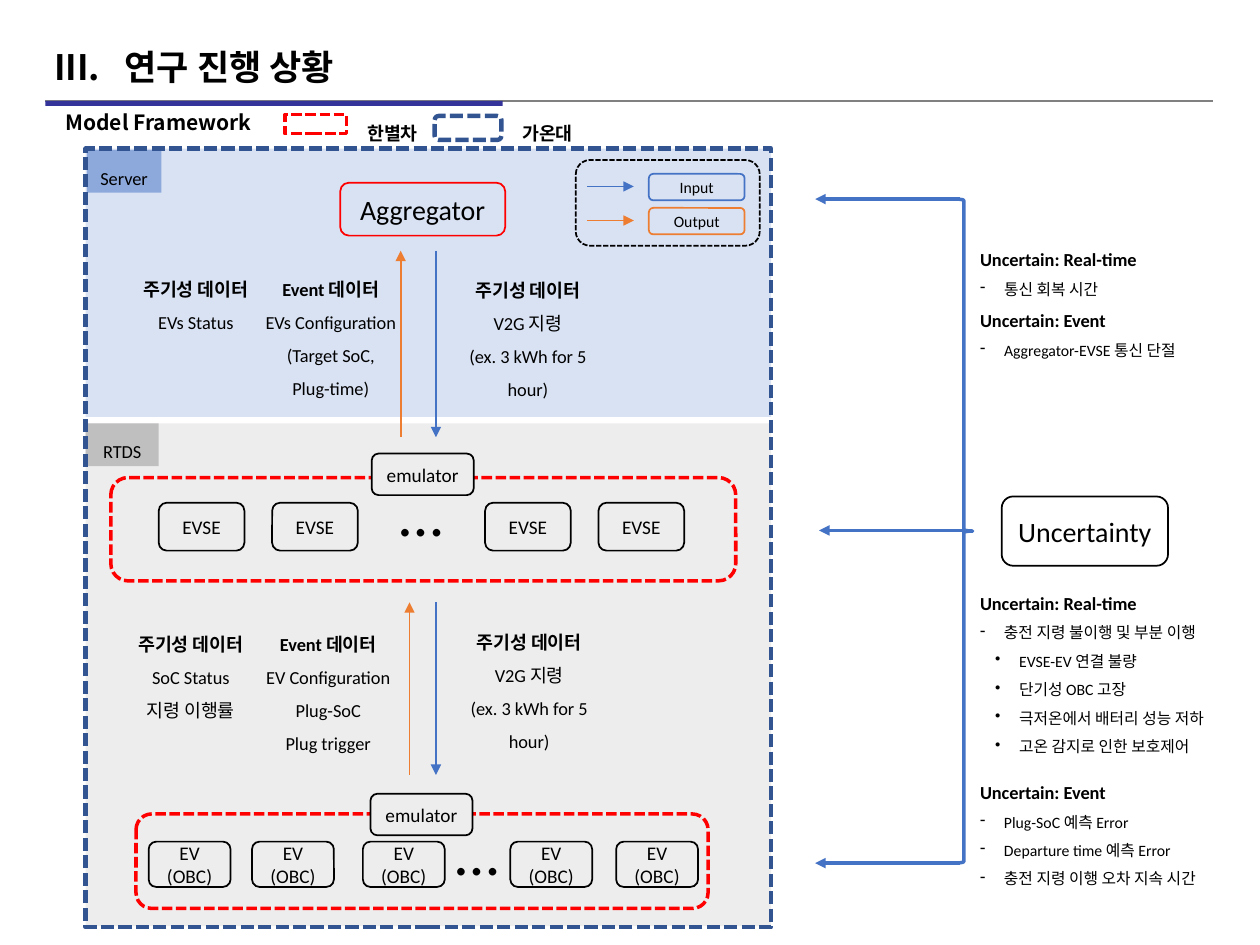
from lxml import etree
from pptx import Presentation
from pptx.dml.color import RGBColor
from pptx.enum.dml import MSO_LINE
from pptx.enum.shapes import MSO_CONNECTOR, MSO_SHAPE
from pptx.enum.text import MSO_ANCHOR, PP_ALIGN
from pptx.oxml.ns import qn
from pptx.util import Inches, Pt

RECTANGLE, ROUNDED, BRACE = MSO_SHAPE.RECTANGLE, MSO_SHAPE.ROUNDED_RECTANGLE, MSO_SHAPE.RIGHT_BRACE
STRAIGHT, DASHED = MSO_CONNECTOR.STRAIGHT, MSO_LINE.SQUARE_DOT
LEFT, CENTER = PP_ALIGN.LEFT, PP_ALIGN.CENTER
TOP, MIDDLE = MSO_ANCHOR.TOP, MSO_ANCHOR.MIDDLE

BLACK, BLUE, ORANGE, RED, NAVY = "000000", "4472C4", "ED7D31", "FF0000", "325491"
LATIN, KOREAN = "Calibri", "Noto Sans CJK KR"
COLUMNS, ROWS = 100, 75

HEAD = {"size": 10.5, "bold": True, "spacing": 1.5}
GROUP = {**HEAD, "before": 8}
BODY = {"size": 10.5, "spacing": 1.5}
DASH = {"size": 9, "spacing": 1.5, "bullet": "-", "indent": 1.9, "hanging": 1.9}
DOT = {**DASH, "bullet": "•", "indent": 3.1}
NODE = {"size": 11}
LARGE = {"size": 16}
KEY = {"size": 9}
DOTS = {"size": 36}
SUBTITLE = {"size": 12, "bold": True, "font": KOREAN}
TITLE = {"size": 20, "bold": True, "font": KOREAN, "spacing": 0.9,
         "number": 3, "indent": 5.6, "hanging": 5.6}


def color(value):
    """Turn a hex string into a colour."""
    return RGBColor.from_string(value)


def apply(target, values):
    """Set each attribute of the target from a dict."""
    for name, value in values.items():
        setattr(target, name, value)


class Board:
    """Draws styled elements on the current slide by grid columns and rows."""

    def __init__(self, presentation):
        """Add a title-only slide and work out the grid."""
        self.slide = presentation.slides.add_slide(presentation.slide_layouts[5])
        self.column = presentation.slide_width / COLUMNS
        self.row = presentation.slide_height / ROWS

    def place(self, left, top, width, height):
        """Return a box in slide units."""
        return [int(left * self.column), int(top * self.row),
                int(width * self.column), int(height * self.row)]

    def fill_text(self, shape, lines, align=LEFT, anchor=TOP, side=1):
        """Put styled lines into a shape."""
        frame = shape.text_frame
        margin = int(side * self.column)
        apply(frame, {"word_wrap": True, "vertical_anchor": anchor,
                      "margin_left": margin, "margin_right": margin})
        for index, (style, text) in enumerate(lines):
            paragraph = frame.add_paragraph() if index else frame.paragraphs[0]
            apply(paragraph, {"alignment": align, "line_spacing": style.get("spacing", 1.0),
                              "space_before": Pt(style.get("before", 0))})
            run = paragraph.add_run()
            run.text = text
            font = style.get("font", LATIN)
            apply(run.font, {"name": font, "size": Pt(style["size"]),
                             "bold": style.get("bold", False)})
            run.font.color.rgb = color(BLACK)
            etree.SubElement(run.font._element, qn("a:ea"), typeface=font)
            self.bullet(paragraph, style)

    def bullet(self, paragraph, style):
        """Give a paragraph its indent and its bullet or number."""
        if "indent" not in style:
            return
        properties = paragraph._p.get_or_add_pPr()
        properties.set("marL", str(int(style["indent"] * self.column)))
        properties.set("indent", str(-int(style["hanging"] * self.column)))
        if "number" in style:
            etree.SubElement(properties, qn("a:buAutoNum"), type="romanUcPeriod",
                             startAt=str(style["number"]))
        else:
            etree.SubElement(properties, qn("a:buChar"), char=style["bullet"])

    def title(self, box, text):
        """Move and fill the title placeholder."""
        shape = self.slide.shapes.title
        apply(shape, dict(zip(("left", "top", "width", "height"), self.place(*box))))
        self.fill_text(shape, [(TITLE, text)], anchor=MIDDLE)

    def text(self, box, lines, align=CENTER):
        """Add a text box."""
        self.fill_text(self.slide.shapes.add_textbox(*self.place(*box)), lines, align)

    def shape(self, kind, box, fill=None, alpha=None, line=None, width=1, dash=None):
        """Add a preset shape."""
        shape = self.slide.shapes.add_shape(kind, *self.place(*box))
        shape.shadow.inherit = False
        if fill:
            shape.fill.solid()
            shape.fill.fore_color.rgb = color(fill)
        else:
            shape.fill.background()
        if alpha:
            tint = shape._element.spPr.find(qn("a:solidFill"))[0]
            etree.SubElement(tint, qn("a:alpha"), val=str(alpha * 1000))
        if line:
            shape.line.color.rgb = color(line)
            apply(shape.line, {"width": Pt(width), "dash_style": dash})
        else:
            shape.line.fill.background()
        return shape

    def node(self, box, lines, line=BLACK, fill=None):
        """Add a rounded box with centred text."""
        self.fill_text(self.shape(ROUNDED, box, fill, line=line), lines, CENTER, MIDDLE, 0)

    def tag(self, box, text, fill, alpha=None):
        """Add a filled corner label."""
        self.fill_text(self.shape(RECTANGLE, box, fill, alpha), [(BODY, text)], CENTER, side=0)

    def line(self, start, end, line, width=1, arrow=True):
        """Add a straight line, with an arrowhead at its end if wanted."""
        points = self.place(*start, *end)
        connector = self.slide.shapes.add_connector(STRAIGHT, *points)
        connector.line.color.rgb = color(line)
        connector.line.width = Pt(width)
        if arrow:
            etree.SubElement(connector.line._get_or_add_ln(), qn("a:tailEnd"), type="triangle")
        etree.SubElement(connector._element.spPr, qn("a:effectLst"))


def draw_header(board):
    """Draw the title, its rule, the subtitle and the owner key."""
    board.line((3.6, 8), (96.3, 8), "808080", arrow=False)
    board.shape(RECTANGLE, (3.6, 8, 36.3, 0.4), "333399")
    board.title((3.3, 3, 96, 5), "연구 진행 상황")
    board.text((4.2, 8.2, 18, 3.6), [(SUBTITLE, "Model Framework")], LEFT)
    board.shape(RECTANGLE, (22.6, 9.1, 4.9, 1.5), line=RED, width=2, dash=DASHED)
    board.shape(ROUNDED, (34.5, 9.2, 5.3, 1.9), line=NAVY, width=2.5, dash=DASHED)
    for left, owner in ((27.4, "한별차"), (39.7, "가온대")):
        board.text((left, 8.3, 7.5, 3.4), [(HEAD, owner)])


def draw_server(board):
    """Draw the server zone with the aggregator and the arrow key."""
    board.shape(RECTANGLE, (6.8, 11.8, 54.4, 21.3), BLUE, 20)
    board.tag((6.9, 11.9, 5.9, 3.4), "Server", BLUE, 51)
    board.node((27, 14.5, 13.1, 4.2), [(LARGE, "Aggregator")], RED)
    board.shape(ROUNDED, (45.7, 12.7, 14.6, 6.8), line=BLACK, dash=DASHED)
    for middle, name, hue in ((14.8, "Input", BLUE), (17.5, "Output", ORANGE)):
        board.line((46.6, middle), (50.3, middle), hue)
        board.node((51.5, middle - 1, 7.6, 2.1), [(KEY, name)], hue)


def draw_rtds(board):
    """Draw the RTDS zone with its two groups of devices."""
    board.shape(RECTANGLE, (6.8, 33.6, 54.4, 39.9), "A6A6A6", 20)
    board.tag((6.8, 33.6, 5.8, 3.4), "RTDS", "BFBFBF")
    for box in ((8.8, 37.9, 49.6, 8.2), (10.8, 64.6, 45.4, 7.5)):
        board.shape(ROUNDED, box, line=RED, width=2, dash=DASHED)
    for left, top in ((29.5, 36), (29.4, 63)):
        board.node((left, top, 8.1, 3.3), [(NODE, "emulator")], fill="EDEDED")
    for left in (12.6, 21.6, 38.5, 47.5):
        board.node((left, 39.9, 6.8, 3.8), [(NODE, "EVSE")])
    for left in (11.8, 20, 28.8, 40.5, 48.9):
        board.node((left, 66.8, 6.5, 3.6), [(NODE, "EV"), (NODE, "(OBC)")])
    for left, top in ((30.5, 37.1), (35, 64)):
        board.text((left, top, 5.8, 7.1), [(DOTS, "…")])


def draw_exchanges(board):
    """Draw the data passed up and down between the levels."""
    for up, top, bottom in ((31.8, 19.9, 34.7), (32.5, 47.8, 61.5)):
        board.line((up, bottom), (up, top), ORANGE)
        board.line((34.6, top), (34.6, bottom), BLUE)
    periodic, event = "주기성 데이터", "Event 데이터"
    order = ["V2G 지령", "(ex. 3 kWh for 5 hour)"]
    exchanges = [
        ((9.9, 20.7, 11.3, 6), periodic, ["EVs Status"]),
        ((20, 20.7, 12.5, 11.3), event, ["EVs Configuration", "(Target SoC,", "Plug-time)"]),
        ((34.5, 20.8, 14.8, 8.7), periodic, order),
        ((9.5, 48.9, 11.3, 8.7), periodic, ["SoC Status", "지령 이행률"]),
        ((20, 48.9, 12.1, 11.3), event, ["EV Configuration", "Plug-SoC", "Plug trigger"]),
        ((34.6, 48.7, 14.8, 8.7), periodic, order),
    ]
    for box, head, items in exchanges:
        board.text(box, [(HEAD, head)] + [(BODY, item) for item in items])


def draw_uncertainty(board):
    """Draw the uncertainty branch and its two lists."""
    board.shape(BRACE, (75.8, 15.8, 1.4, 52.7), line=BLUE, width=2)
    for start, end, height in ((76.2, 64.7, 15.8), (76.5, 65, 42.1), (76.2, 64.7, 68.5)):
        board.line((start, height), (end, height), BLUE, 2)
    board.node((79.5, 39.4, 13.2, 5.5), [(LARGE, "Uncertainty")])
    board.text((76.8, 18.3, 21.5, 10.6), [
        (HEAD, "Uncertain: Real-time"), (DASH, "통신 회복 시간"),
        (HEAD, "Uncertain: Event"), (DASH, "Aggregator-EVSE 통신 단절")], LEFT)
    board.text((76.8, 45.6, 23, 25.4), [
        (HEAD, "Uncertain: Real-time"), (DASH, "충전 지령 불이행 및 부분 이행"),
        (DOT, "EVSE-EV 연결 불량"), (DOT, "단기성 OBC 고장"),
        (DOT, "극저온에서 배터리 성능 저하"), (DOT, "고온 감지로 인한 보호제어"),
        (GROUP, "Uncertain: Event"), (DASH, "Plug-SoC 예측 Error"),
        (DASH, "Departure time 예측 Error"), (DASH, "충전 지령 이행 오차 지속 시간")], LEFT)


def main():
    """Build and save the slide."""
    presentation = Presentation()
    apply(presentation, {"slide_width": Inches(10), "slide_height": Inches(7.5)})
    board = Board(presentation)
    for draw in (draw_header, draw_server, draw_rtds, draw_exchanges, draw_uncertainty):
        draw(board)
    board.shape(RECTANGLE, (6.8, 11.8, 54.4, 61.8), line=NAVY, width=2.5, dash=DASHED)
    presentation.save("out.pptx")


if __name__ == "__main__":
    main()
